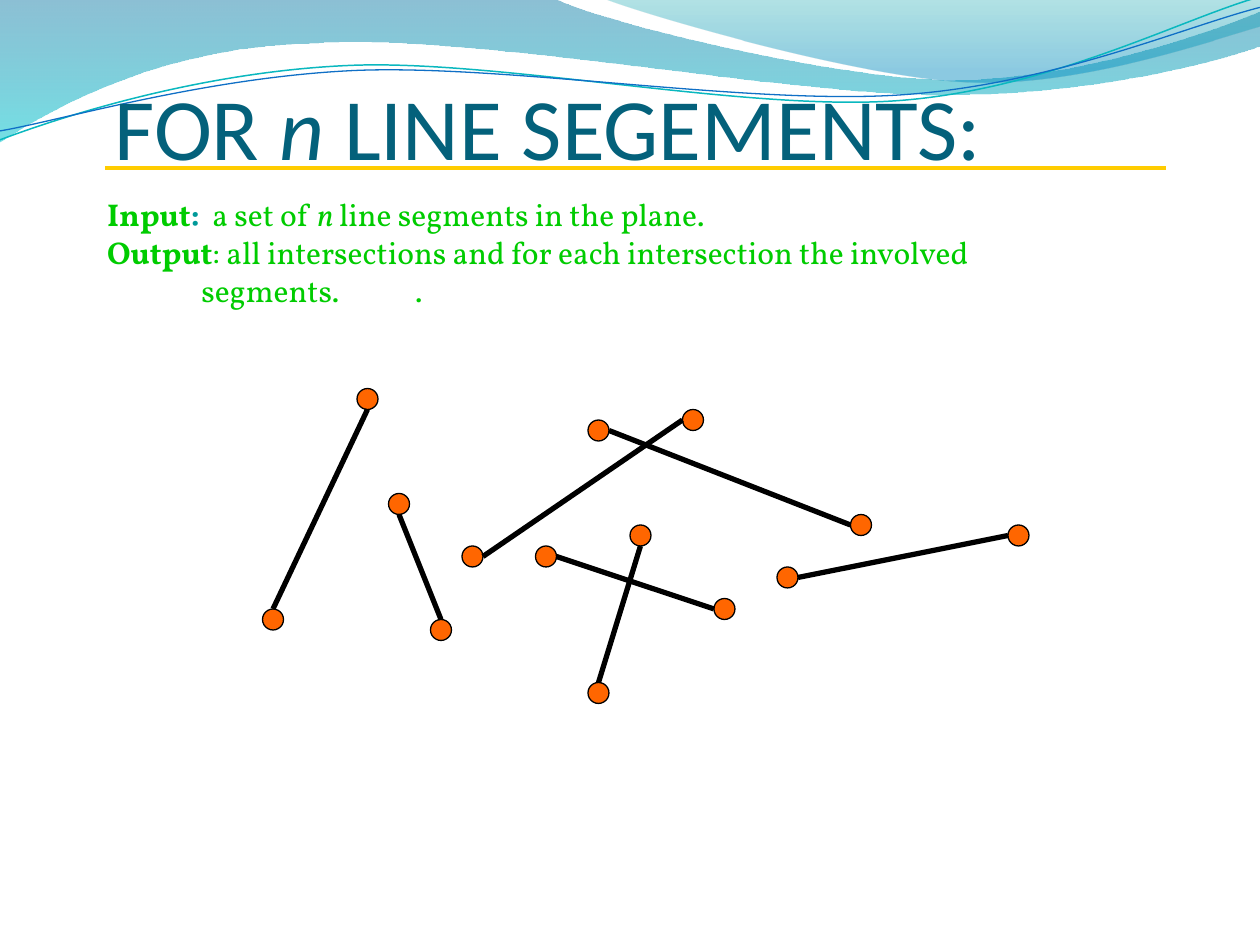
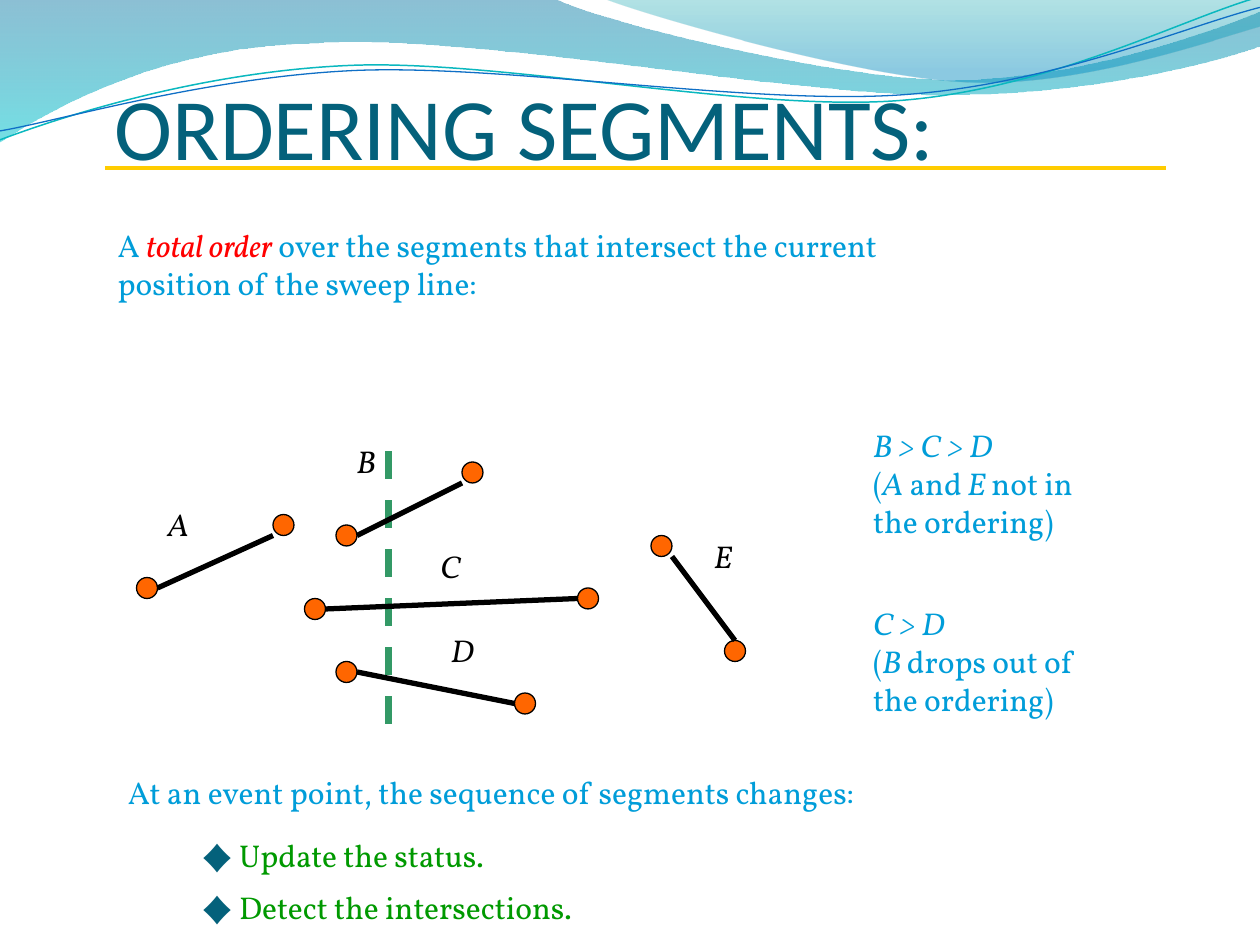
from typing import NamedTuple, Optional

from lxml import etree
from pptx import Presentation, util as u
from pptx.dml.color import RGBColor
from pptx.enum import dml, shapes, text
from pptx.oxml.ns import qn

INK = RGBColor(0x04, 0x61, 0x7B)
SKY = RGBColor(0x00, 0x9D, 0xD9)
LIME = RGBColor(0x00, 0xCC, 0x00)
LEAF = RGBColor(0x00, 0x99, 0x00)
TEAL = RGBColor(0x00, 0x99, 0x99)
RED = RGBColor(0xFF, 0x00, 0x00)
GOLD = RGBColor(0xFF, 0xCC, 0x00)
PINE = RGBColor(0x33, 0x99, 0x66)
RUST = RGBColor(0xFF, 0x66, 0x00)
BLACK = RGBColor(0x00, 0x00, 0x00)
HEAD, BODY = "Calibri", "Vollkorn"
GRID = 2.54 / 12  # drawing grid in cm; a dot is two cells wide

Point = tuple[float, float]
RIGHT, LEFT, DOWN, UP = (1, 0), (-1, 0), (0, 1), (0, -1)


class Run(NamedTuple):
    words: str
    color: RGBColor = SKY
    italic: bool = False
    bold: bool = False


class Box(NamedTuple):
    left: float
    top: float
    width: float
    height: float
    lines: list[list[Run]]


class Stop(NamedTuple):
    color: RGBColor
    place: float
    alpha: int


class Wave(NamedTuple):
    """Each step is one point (a straight line) or three (a Bézier curve)."""
    start: Point
    steps: list[tuple[Point, ...]]
    stops: tuple[Stop, ...] = ()
    line: Optional[RGBColor] = None
    width: float = 0


class Segment(NamedTuple):
    """Two dot centres in grid cells, and where the line leaves each dot."""
    start: Point
    end: Point
    out: Point = RIGHT
    into: Point = LEFT


WAVES = [
    Wave((0, 0), [
        ((11.18, -0.03),),
        ((12.09, 0.43), (16.87, 1.6), (19.25, 1.6)),
        ((21.67, 1.6), (24.33, 0.66), (25.4, 0.23)),
        ((25.43, 0.91),),
        ((24.97, 1.12), (22.1, 1.93), (18.95, 1.91)),
        ((15.8, 1.91), (9.7, 0.71), (6.53, 0.86)),
        ((3.28, 0.91), (1.17, 2.11), (-0.03, 2.87)),
    ], (Stop(RGBColor(0x00, 0x74, 0xA1), 0, 45), Stop(RGBColor(0x00, 0xC6, 0xCF), 1, 55))),
    Wave((12.17, -0.03), [
        ((12.93, 0.28), (17.32, 1.57), (19.53, 1.65)),
        ((21.74, 1.75), (24.41, 0.81), (25.4, 0.53)),
        ((25.4, 0),),
    ], (Stop(RGBColor(0x00, 0xA1, 0xA9), 0, 30), Stop(RGBColor(0x00, 0x8B, 0xBF), 0.8, 45))),
    Wave((0, 2.82), [
        ((1.22, 2.36), (4.01, 1.45), (7.04, 1.32)),
        ((10.03, 1.19), (15.06, 2.26), (18.11, 2.03)),
        ((21.16, 1.8), (23.83, 0.38), (25.35, -0.05)),
    ], line=RGBColor(0x0A, 0xB8, 0xBF), width=0.85),
    Wave((0, 2.64), [
        ((1.19, 2.44), (4.17, 1.55), (7.19, 1.42)),
        ((10.24, 1.3), (15.16, 2.13), (18.21, 1.91)),
        ((21.23, 1.7), (23.9, 0.53), (25.4, 0.15)),
    ], line=RGBColor(0x0F, 0x6F, 0xC6), width=0.75),
]

PLANE = [
    Segment((35, 38), (26, 59), DOWN, UP),
    Segment((38, 48), (42, 60), DOWN, UP),
    Segment((52, 53), (69, 58)),
    Segment((61, 51), (57, 66), DOWN, UP),
    Segment((45, 53), (66, 40)),
    Segment((57, 41), (82, 50)),
    Segment((75, 55), (97, 51)),
]
SWEEP = [
    Segment((14, 56), (27, 50), into=(-1, 1)),
    Segment((33, 51), (45, 45), into=(-1, 1)),
    Segment((30, 58), (56, 57)),
    Segment((33, 64), (50, 67)),
    Segment((63, 52), (70, 62), (1, 1), UP),
]
NAMES = {"A": (3.13, 10.06), "B": (6.94, 8.79), "C": (8.63, 10.91),
         "D": (8.84, 12.6), "E": (14.14, 10.7)}

TASK = Box(1.91, 3.81, 21.87, 3.3, [
    [Run("Input", LIME, bold=True), Run(": ", TEAL, bold=True), Run(" a set of ", LIME),
     Run("n ", LIME, italic=True), Run("line segments in the plane.", LIME)],
    [Run("Output", LIME, bold=True),
     Run(": all intersections and for each intersection the involved", LIME)],
    [Run("\tsegments.\t.", LIME)],
])
NOTES = [
    Box(2.12, 4.44, 19.91, 2.29, [
        [Run("A "), Run("total order ", RED, italic=True),
         Run("over the segments that intersect the current")],
        [Run("position of the sweep line:")]]),
    Box(17.35, 8.47, 5.64, 3.3, [
        [Run("B > C > D", italic=True)],
        [Run("("), Run("A ", italic=True), Run("and"), Run(" E ", italic=True), Run("not in")],
        [Run("the ordering)")]]),
    Box(17.35, 12.06, 5.61, 3.3, [
        [Run("C > D", italic=True)],
        [Run("("), Run("B ", italic=True), Run("drops out of")],
        [Run("the ordering)")]]),
    Box(2.33, 15.45, 18.8, 1.27, [
        [Run("At an event point, the sequence of segments changes:")]]),
]
STEPS = ["Update the status.", "Detect the intersections."]


def fill_line(para, runs: list[Run], font: str, size: float) -> None:
    for part in runs:
        run = para.add_run()
        run.text = part.words
        run.font.name, run.font.size = font, u.Pt(size)
        run.font.color.rgb = part.color
        run.font.italic, run.font.bold = part.italic, part.bold


def add_box(slide, box: Box):
    frame = slide.shapes.add_textbox(*map(u.Cm, box[:4])).text_frame
    frame.word_wrap = True
    for i, runs in enumerate(box.lines):
        para = frame.add_paragraph() if i else frame.paragraphs[0]
        fill_line(para, runs, BODY, 18)
    return frame


def set_tabs(para, *stops: float) -> None:
    tabs = etree.SubElement(para._p.get_or_add_pPr(), qn("a:tabLst"))
    for stop in stops:
        etree.SubElement(tabs, qn("a:tab"), pos=str(u.Cm(stop)), algn="l")


def add_line(slide, start: Point, end: Point, color: RGBColor, width: float, dash=None) -> None:
    """Draw a straight line between two points in cm."""
    line = slide.shapes.add_connector(shapes.MSO_CONNECTOR.STRAIGHT, *map(u.Cm, start + end))
    line.line.color.rgb, line.line.width = color, u.Pt(width)
    if dash:
        line.line.dash_style = dash
    etree.SubElement(line.element.spPr, qn("a:effectLst"))


def on_grid(spot: Point, shift: Point = (0, 0)) -> Point:
    return (spot[0] + shift[0]) * GRID, (spot[1] + shift[1]) * GRID


def add_dot(slide, spot: Point) -> None:
    left, top = on_grid(spot, (-1, -1))
    dot = slide.shapes.add_shape(shapes.MSO_SHAPE.OVAL, u.Cm(left), u.Cm(top),
                                 u.Cm(2 * GRID), u.Cm(2 * GRID))
    dot.shadow.inherit = False
    dot.fill.solid()
    dot.fill.fore_color.rgb = RUST
    dot.line.color.rgb, dot.line.width = BLACK, u.Pt(0.75)


def add_segment(slide, seg: Segment) -> None:
    add_dot(slide, seg.start)
    add_dot(slide, seg.end)
    add_line(slide, on_grid(seg.start, seg.out), on_grid(seg.end, seg.into), BLACK, 3)


def bend(shape, wave: Wave) -> None:
    """Join the three straight lines of each curved step into one Bézier curve."""
    lines = iter(list(shape.element.spPr.iter(qn("a:lnTo"))))
    for step in wave.steps:
        parts = [next(lines) for _ in step]
        if len(parts) == 3:
            curve = etree.Element(qn("a:cubicBezTo"))
            parts[0].addprevious(curve)
            for part in parts:
                curve.append(part[0])
                part.getparent().remove(part)


def add_wave(slide, wave: Wave):
    spots = [(u.Cm(x), u.Cm(y)) for step in wave.steps for x, y in step]
    pen = slide.shapes.build_freeform(*map(u.Cm, wave.start))
    pen.add_line_segments(spots, close=bool(wave.stops))
    shape = pen.convert_to_shape()
    bend(shape, wave)
    shape.shadow.inherit = False
    if not wave.stops:
        shape.fill.background()
        shape.line.color.rgb, shape.line.width = wave.line, u.Pt(wave.width)
        return shape
    shape.line.fill.background()
    shape.fill.gradient()
    shape.fill.gradient_angle = 270
    for mark, stop in zip(shape.fill.gradient_stops, wave.stops):
        mark.color.rgb, mark.position = stop.color, stop.place
    tints = shape.element.spPr.iter(qn("a:srgbClr"))
    for tint, stop in zip(list(tints), wave.stops):
        etree.SubElement(tint, qn("a:alpha"), val=str(stop.alpha * 1000))
    return shape


def add_slide(deck, title: list[Run]):
    slide = deck.slides.add_slide(deck.slide_layouts[5])
    head = slide.shapes.title
    head.left, head.top, head.width, head.height = map(u.Cm, (1.91, 0.42, 21.59, 3.17))
    frame = head.text_frame
    frame.auto_size = text.MSO_AUTO_SIZE.NONE
    frame.vertical_anchor = text.MSO_ANCHOR.BOTTOM
    frame.margin_left, frame.margin_top = u.Cm(0.4), u.Cm(0.13)
    frame.margin_right = frame.margin_bottom = 0
    frame.paragraphs[0].alignment = text.PP_ALIGN.LEFT
    fill_line(frame.paragraphs[0], title, HEAD, 50)
    add_line(slide, (2.12, 3.39), (23.5, 3.39), GOLD, 2.25)
    return slide


def draw_plane(deck):
    slide = add_slide(deck, [Run("FOR ", INK), Run("n", INK, italic=True),
                             Run(" LINE SEGEMENTS:", INK)])
    set_tabs(add_box(slide, TASK).paragraphs[-1], 1.9, 6.21)
    for seg in PLANE:
        add_segment(slide, seg)
    return slide


def draw_order(deck) -> None:
    slide = add_slide(deck, [Run("ORDERING SEGMENTS:", INK)])
    add_line(slide, on_grid((37, 43)), on_grid((37, 69)), PINE, 4, dml.MSO_LINE.DASH)
    for seg in SWEEP:
        add_segment(slide, seg)
    for name, (left, top) in NAMES.items():
        add_box(slide, Box(left, top, 1.1, 1.27, [[Run(name, BLACK, italic=True)]]))
    for note in NOTES:
        add_box(slide, note)
    for i, step in enumerate(STEPS):
        add_box(slide, Box(3.81, 16.72 + 1.06 * i, 9.5, 1.27,
                           [[Run("♦ ", INK), Run(step, LEAF)]]))


def main() -> None:
    deck = Presentation()
    deck.slide_width, deck.slide_height = u.Cm(25.4), u.Cm(19.05)
    plane = draw_plane(deck)
    for wave in WAVES:  # only slides can build freeforms, so move them to the layout
        plane.slide_layout.shapes.element.append(add_wave(plane, wave).element)
    draw_order(deck)
    deck.save("out.pptx")


if __name__ == "__main__":
    main()
